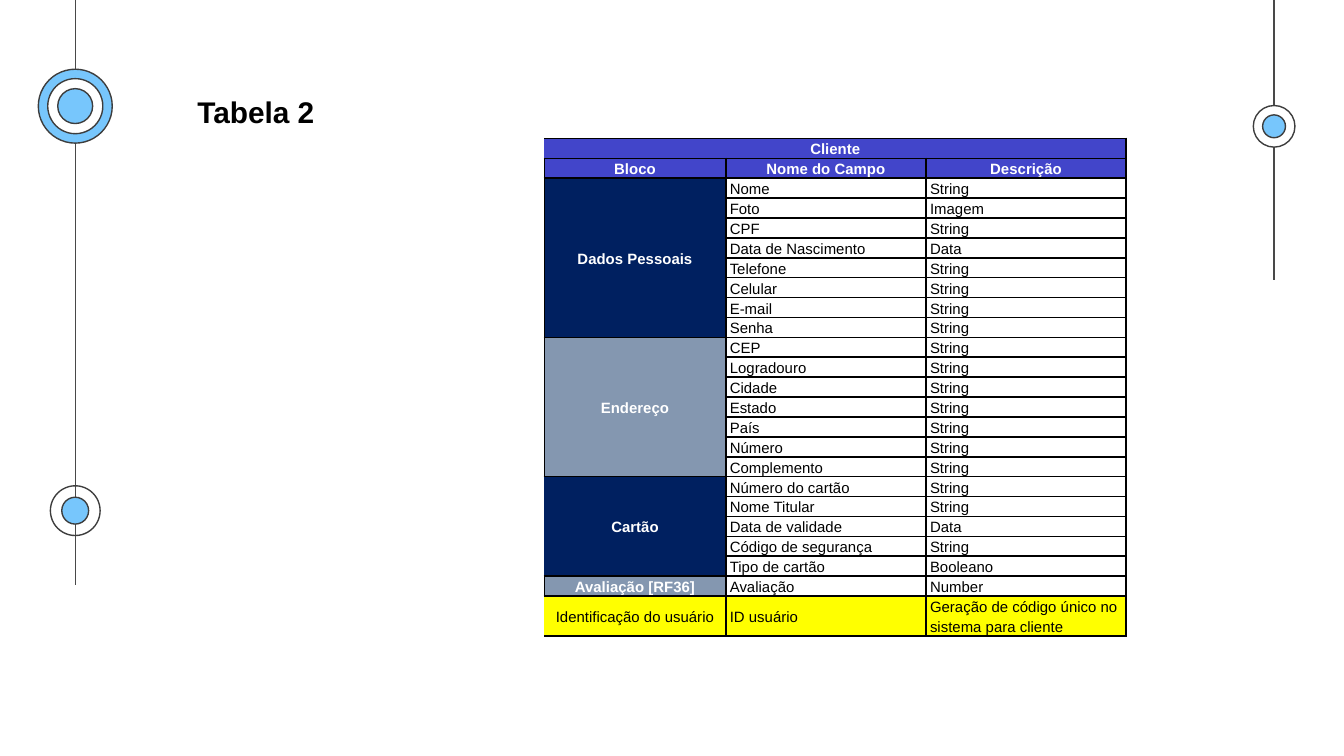
from lxml import etree
from pptx import Presentation
from pptx.dml.color import RGBColor
from pptx.enum import shapes, text
from pptx.oxml import ns
from pptx.util import Inches, Pt

BLUE, WHITE, BLACK, DARK = "77C6FC", "FFFFFF", "000000", "3D3D3D"
HEAD, NAVY, GREY, YELLOW = "4245CA", "002060", "8497B0", "FFFF00"
NO_GRID = "{2D5ABB26-0587-4C30-8999-92F81FD0307C}"

# Block name, fill, open on the left, fields
BLOCKS = [
    ("Dados Pessoais", NAVY, False, [
        ("Nome", "String"), ("Foto", "Imagem"), ("CPF", "String"),
        ("Data de Nascimento", "Data"), ("Telefone", "String"),
        ("Celular", "String"), ("E-mail", "String"), ("Senha", "String")]),
    ("Endereço", GREY, False, [
        ("CEP", "String"), ("Logradouro", "String"), ("Cidade", "String"),
        ("Estado", "String"), ("País", "String"), ("Número", "String"),
        ("Complemento", "String")]),
    ("Cartão", NAVY, True, [
        ("Número do cartão", "String"), ("Nome Titular", "String"),
        ("Data de validade", "Data"), ("Código de segurança", "String"),
        ("Tipo de cartão", "Booleano")]),
    ("Avaliação [RF36]", GREY, False, [("Avaliação", "Number")]),
    ("Identificação do usuário", YELLOW, True, [
        ("ID usuário", "Geração de código único no sistema para cliente")]),
]


def paint(fmt, color):
    """Fill a shape, cell or line; no colour means no fill."""
    if color:
        fmt.solid()
        fmt.fore_color.rgb = RGBColor.from_string(color)
    else:
        fmt.background()


def write(frame, words, size=8, color=BLACK, bold=False, center=False,
          space=None):
    para = frame.paragraphs[0]
    para.alignment = text.PP_ALIGN.CENTER if center else text.PP_ALIGN.LEFT
    para.line_spacing = space
    run = para.add_run()
    run.text = words
    font = run.font
    font.name, font.size, font.bold = "Arial", Pt(size), bold
    font.color.rgb = RGBColor.from_string(color)


def title(slide, words):
    box = slide.shapes.add_textbox(
        Inches(1.37), Inches(0.65), Inches(1.1), Inches(0.37))
    box.text_frame.word_wrap = False
    box.text_frame.auto_size = text.MSO_AUTO_SIZE.SHAPE_TO_FIT_TEXT
    write(box.text_frame, words, size=16, bold=True)


def stem(slide, x, end):
    line = slide.shapes.add_connector(
        shapes.MSO_CONNECTOR.STRAIGHT, Inches(x), 0, Inches(x), Inches(end))
    paint(line.line.fill, "494949")
    line.line.width = Pt(0.75)
    etree.SubElement(line._element.spPr, ns.qn("a:effectLst"))


def rings(slide, x, y, *discs):
    """Concentric discs, given as (diameter, fill) from the outside in."""
    for size, color in discs:
        disc = slide.shapes.add_shape(
            shapes.MSO_SHAPE.OVAL, Inches(x - size / 2), Inches(y - size / 2),
            Inches(size), Inches(size))
        disc.shadow.inherit = False
        paint(disc.fill, color)
        paint(disc.line.fill, DARK)
        disc.line.width = Pt(0.75)


def border(cell, left=True):
    props = cell._tc.get_or_add_tcPr()
    for side in "LRTB":
        line = etree.SubElement(props, ns.qn("a:ln" + side), w=str(Pt(1)))
        if side == "L" and not left:
            etree.SubElement(line, ns.qn("a:noFill"))
        else:
            fill = etree.SubElement(line, ns.qn("a:solidFill"))
            etree.SubElement(fill, ns.qn("a:srgbClr"), val=BLACK)


def put(cell, words, fill=None, **style):
    cell.margin_left = cell.margin_right = Inches(0.03)
    cell.margin_top = cell.margin_bottom = 0
    cell.vertical_anchor = text.MSO_ANCHOR.MIDDLE
    paint(cell.fill, fill)
    write(cell.text_frame, words, space=1.15, **style)


def make_grid(slide, count):
    """Empty bordered table whose last row is twice as high."""
    unit = int(Inches(3.71) / (count + 1))
    frame = slide.shapes.add_table(
        count, 3, Inches(4.05), Inches(1.03), Inches(4.33), unit * (count + 1))
    grid = frame.table
    grid.first_row = grid.horz_banding = False
    grid._tbl.tblPr.find(ns.qn("a:tableStyleId")).text = NO_GRID
    for col, width in zip(grid.columns, (1.35, 1.49, 1.49)):
        col.width = Inches(width)
    for row in grid.rows:
        row.height = unit
    grid.rows[count - 1].height = unit * 2
    return grid


def client(slide):
    grid = make_grid(slide, 2 + sum(len(block[3]) for block in BLOCKS))
    gaps = [True, False]
    for _, _, gap, fields in BLOCKS:
        gaps += [gap] * len(fields)
    for row, gap in enumerate(gaps):
        for col in range(3):
            border(grid.cell(row, col), left=col > 0 or not gap)

    strong = dict(color=WHITE, bold=True, center=True)
    grid.cell(0, 0).merge(grid.cell(0, 2))
    put(grid.cell(0, 0), "Cliente", HEAD, **strong)
    for col, name in enumerate(("Bloco", "Nome do Campo", "Descrição")):
        put(grid.cell(1, col), name, HEAD, **strong)

    row = 2
    for name, fill, _, fields in BLOCKS:
        last = row + len(fields) - 1
        if last > row:
            grid.cell(row, 0).merge(grid.cell(last, 0))
        bright = fill == YELLOW
        style = dict(center=True) if bright else strong
        put(grid.cell(row, 0), name, fill, **style)
        for field in fields:
            for col, words in enumerate(field, 1):
                put(grid.cell(row, col), words, fill if bright else None)
            row += 1


def main():
    deck = Presentation()
    deck.slide_width = Inches(10)
    deck.slide_height = deck.slide_width * 9 // 16
    slide = deck.slides.add_slide(deck.slide_layouts[6])
    stem(slide, 0.56, 4.35)
    stem(slide, 9.48, 2.08)
    rings(slide, 0.56, 3.8, (0.37, None), (0.2, BLUE))
    rings(slide, 9.48, 0.94, (0.31, WHITE), (0.17, BLUE))
    rings(slide, 0.56, 0.79, (0.55, BLUE), (0.41, WHITE), (0.26, BLUE))
    client(slide)
    title(slide, "Tabela 2")
    deck.save("out.pptx")


if __name__ == "__main__":
    main()
